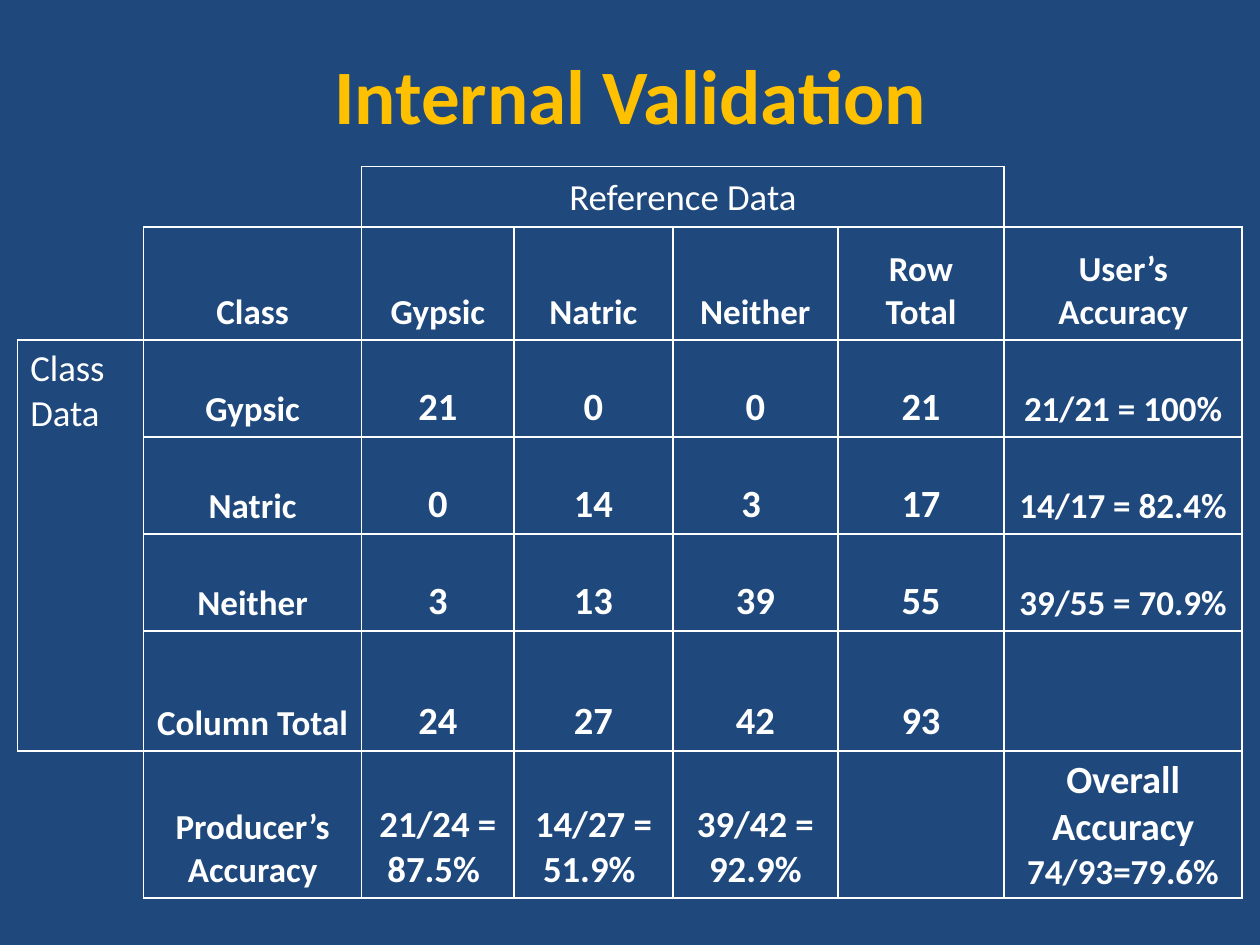
import pptx
import pptx.util
import pptx.dml.color
import pptx.enum.text
import pptx.oxml
import pptx.oxml.ns

Inches, Pt = pptx.util.Inches, pptx.util.Pt
RGBColor = pptx.dml.color.RGBColor
ALIGN, ANCHOR = pptx.enum.text.PP_ALIGN, pptx.enum.text.MSO_ANCHOR

NAVY = RGBColor(0x1F, 0x49, 0x7D)
GOLD = RGBColor(0xFF, 0xC0, 0x00)
WHITE = RGBColor(0xFF, 0xFF, 0xFF)

COLUMN_WIDTHS = [1, 1.73, 1.21, 1.26, 1.31, 1.32, 1.89]
ROW_HEIGHTS = [0.48, 0.9, 0.77, 0.77, 0.77, 0.95, 1.17]
MATRIX = [
    ["", "", "Reference Data", "", "", "", ""],
    ["", "Class", "Gypsic", "Natric", "Neither", "Row Total", "User’s Accuracy"],
    ["Class Data", "Gypsic", "21", "0", "0", "21", "21/21 = 100%"],
    ["", "Natric", "0", "14", "3 ", "17", "14/17 = 82.4%"],
    ["", "Neither", "3", "13", "39", "55", "39/55 = 70.9%"],
    ["", "Column Total", "24", "27", "42", "93", ""],
    ["", "Producer’s Accuracy", "21/24 = 87.5% ", "14/27 = 51.9% ",
     "39/42 = 92.9%", "", ""],
]
OPEN_CELLS = {(0, 0), (0, 1), (0, 6), (1, 0), (6, 0)}
# Border tag -> step to the neighbouring cell, in schema order
SIDES = {"lnL": (0, -1), "lnR": (0, 1), "lnT": (-1, 0), "lnB": (1, 0)}


def add_run(paragraph, text, size, color=WHITE, bold=True):
    run = paragraph.add_run()
    run.text = text
    for name, value in {"name": "Calibri", "size": Pt(size), "bold": bold}.items():
        setattr(run.font, name, value)
    run.font.color.rgb = color


def add_title(slide, left, top, width, height):
    frame = slide.shapes.add_textbox(left, top, width, height).text_frame
    frame.word_wrap = True
    frame.vertical_anchor = ANCHOR.MIDDLE
    heading = frame.paragraphs[0]
    heading.alignment = ALIGN.CENTER
    add_run(heading, "Internal Validation", 44, GOLD)


def draw_borders(cell, row, column):
    """Rule every side, except between open cells and at their outer edge."""
    properties = cell._tc.get_or_add_tcPr()
    for index, (tag, (down, across)) in enumerate(SIDES.items()):
        neighbour = (row + down, column + across)
        outside = not (0 <= neighbour[0] < len(ROW_HEIGHTS)
                       and 0 <= neighbour[1] < len(COLUMN_WIDTHS))
        hidden = (row, column) in OPEN_CELLS and (outside or neighbour in OPEN_CELLS)
        paint = "<a:noFill/>" if hidden else (
            f'<a:solidFill><a:srgbClr val="{WHITE}"/></a:solidFill>')
        properties.insert(index, pptx.oxml.parse_xml(
            f'<a:{tag} {pptx.oxml.ns.nsdecls("a")} w="{Pt(1)}">{paint}</a:{tag}>'))


def text_size(row, column):
    if row == 0 or column == 0:
        return 21
    if row == 1 or column in (1, 6):
        return 20
    return 21 if row == 6 else 22


def add_error_matrix(slide, left, top, width, height):
    matrix = slide.shapes.add_table(
        len(ROW_HEIGHTS), len(COLUMN_WIDTHS), left, top, width, height).table
    matrix.first_row = matrix.horz_banding = False
    for column, size in zip(matrix.columns, COLUMN_WIDTHS):
        column.width = Inches(size)
    for row, size in zip(matrix.rows, ROW_HEIGHTS):
        row.height = Inches(size)

    for row, texts in enumerate(MATRIX):
        for column, text in enumerate(texts):
            cell = matrix.cell(row, column)
            side_label = column == 0
            cell.fill.background()
            cell.vertical_anchor = ANCHOR.TOP if side_label else ANCHOR.BOTTOM
            draw_borders(cell, row, column)
            paragraph = cell.text_frame.paragraphs[0]
            paragraph.alignment = ALIGN.LEFT if side_label else ALIGN.CENTER
            if text:
                add_run(paragraph, text, text_size(row, column),
                        bold=row > 0 and column > 0)

    # Overall accuracy, in two sizes
    overall = matrix.cell(6, 6).text_frame.paragraphs[0]
    add_run(overall, "Overall Accuracy", 22)
    add_run(overall, " 74/93=79.6%", 20)

    # Labels that span the classes
    matrix.cell(0, 2).merge(matrix.cell(0, 5))
    matrix.cell(2, 0).merge(matrix.cell(5, 0))


def main():
    deck = pptx.Presentation()
    deck.slide_width, deck.slide_height = Inches(10), Inches(7.5)
    slide = deck.slides.add_slide(deck.slide_layouts[6])
    slide.background.fill.solid()
    slide.background.fill.fore_color.rgb = NAVY
    add_title(slide, Inches(0.44), Inches(0.24), Inches(9.13), Inches(1))
    add_error_matrix(slide, Inches(0.14), Inches(1.32), Inches(9.71), Inches(5.8))
    deck.save("out.pptx")


if __name__ == "__main__":
    main()
